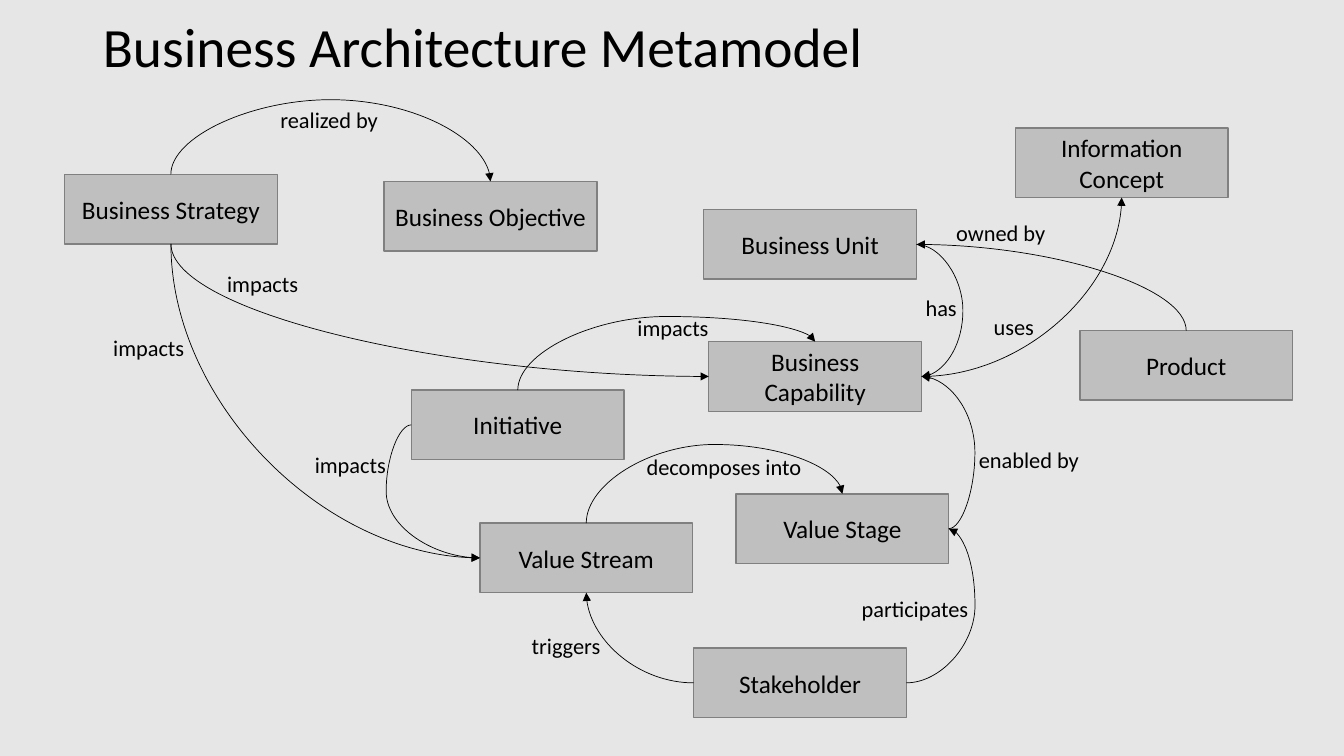
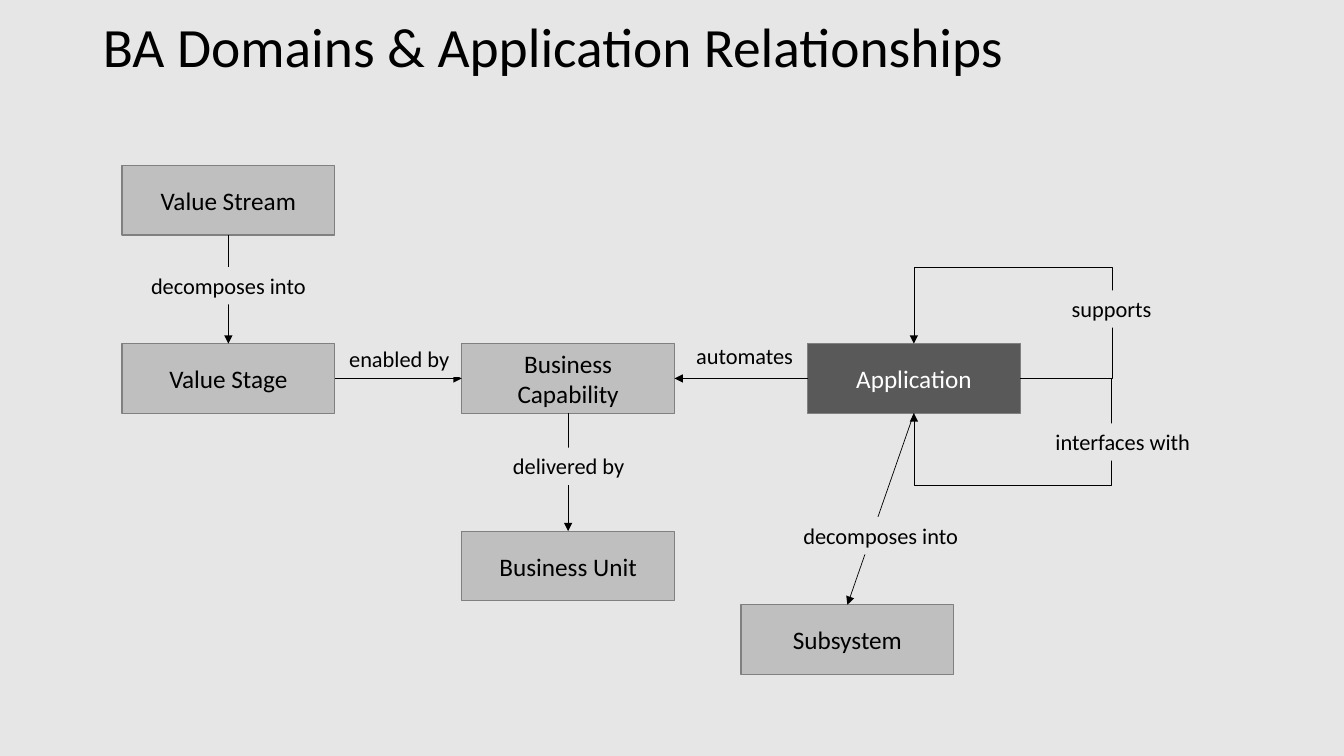
from lxml.etree import SubElement
from pptx import Presentation
from pptx.dml.color import RGBColor
from pptx.enum.shapes import MSO_CONNECTOR, MSO_SHAPE
from pptx.enum.text import MSO_ANCHOR, MSO_AUTO_SIZE, PP_ALIGN
from pptx.oxml.ns import qn
from pptx.util import Pt

PX = 9144
COLORS = {"page": "E7E6E6", "box": "BFBFBF", "dark": "595959",
          "edge": "808080", "ink": "000000", "light": "FFFFFF"}
TOP, LEFT, BOTTOM, RIGHT = range(4)
CURVE, ELBOW, STRAIGHT = MSO_CONNECTOR.CURVE, MSO_CONNECTOR.ELBOW, MSO_CONNECTOR.STRAIGHT
BOX_SIZE = (211, 69)
LABEL_HEIGHT = 37


def color(name):
    return RGBColor.from_string(COLORS[name])


def assign(target, values):
    for name, value in values.items():
        setattr(target, name, value)


class Diagram:
    font = "Calibri"
    title_frame = {"left": 92 * PX, "top": 20 * PX, "width": 1040 * PX, "height": 58 * PX}
    title_text = {"vertical_anchor": MSO_ANCHOR.MIDDLE, "auto_size": MSO_AUTO_SIZE.NONE,
                  "word_wrap": True}
    box_text = {"vertical_anchor": MSO_ANCHOR.MIDDLE, "word_wrap": True}
    label_text = {"vertical_anchor": MSO_ANCHOR.TOP, "word_wrap": True,
                  "auto_size": MSO_AUTO_SIZE.SHAPE_TO_FIT_TEXT,
                  "margin_left": 0, "margin_right": 0}

    def __init__(self):
        self.deck = Presentation()
        assign(self.deck, {"slide_width": 1333 * PX, "slide_height": 750 * PX})
        fill = self.deck.slide_master.background.fill
        fill.solid()
        fill.fore_color.rgb = color("page")

    def set_text(self, shape, text, size, frame, paragraph, ink="ink"):
        assign(shape.text_frame, frame)
        para = shape.text_frame.paragraphs[0]
        assign(para, paragraph)
        span = para.add_run()
        span.text = text
        assign(span.font, {"name": self.font, "size": Pt(size)})
        span.font.color.rgb = color(ink)

    def start_page(self, title):
        self.page = self.deck.slides.add_slide(self.deck.slide_layouts[5])
        shape = self.page.shapes.title
        assign(shape, self.title_frame)
        self.set_text(shape, title, 39.6, self.title_text,
                      {"alignment": PP_ALIGN.LEFT, "line_spacing": 0.9})

    def box(self, text, left, top, fill="box", ink="ink"):
        shape = self.page.shapes.add_shape(
            MSO_SHAPE.RECTANGLE, *(value * PX for value in (left, top, *BOX_SIZE)))
        shape.shadow.inherit = False
        shape.fill.solid()
        shape.fill.fore_color.rgb = color(fill)
        shape.line.color.rgb = color("edge")
        shape.line.width = Pt(1)
        self.set_text(shape, text, 18, self.box_text, {"alignment": PP_ALIGN.CENTER}, ink)
        return shape

    def label(self, text, left, top, width=157):
        shape = self.page.shapes.add_textbox(
            left * PX, top * PX, width * PX, LABEL_HEIGHT * PX)
        self.set_text(shape, text, 16, self.label_text, {"alignment": PP_ALIGN.CENTER})
        return shape

    def masking_label(self, text, left, top, width):
        shape = self.label(text, left, top, width)
        shape.fill.solid()
        shape.fill.fore_color.rgb = color("page")

    def link(self, start, start_side, end, end_side, kind=STRAIGHT, bends=()):
        connector = self.page.shapes.add_connector(kind, 0, 0, 0, 0)
        connector.begin_connect(start, start_side)
        connector.end_connect(end, end_side)
        connector.line.color.rgb = color("ink")
        connector.line.width = Pt(0.5)
        properties = connector._element.spPr
        SubElement(properties.find(qn("a:ln")), qn("a:tailEnd"), type="triangle")
        SubElement(properties, qn("a:effectLst"))
        if kind != STRAIGHT:
            self.route(connector, start_side in (TOP, BOTTOM), bends)

    def route(self, connector, upright, bends):
        x, y = connector.begin_x, connector.begin_y
        dx, dy = connector.end_x - x, connector.end_y - y
        axes = [(x, dx), (y, dy)]
        width, height = abs(dx), abs(dy)
        flips = {"flipH": dx < 0, "flipV": dy < 0}
        turn = 0
        if upright:
            axes.reverse()
            width, height = height, width
            turn = 270 if dy > 0 else 90
            flips = {"flipH": True, "flipV": (dx > 0) == (dy < 0)}
        assign(connector, {"left": int(x + dx / 2 - width / 2),
                           "top": int(y + dy / 2 - height / 2),
                           "width": width, "height": height})
        properties = connector._element.spPr
        frame = properties.find(qn("a:xfrm"))
        frame.set("rot", str(turn * 60000))
        for name, flipped in flips.items():
            frame.set(name, str(int(flipped)))
        geometry = properties.find(qn("a:prstGeom"))
        geometry.set("prst", geometry.get("prst").replace("3", str(len(bends) + 2)))
        guides = geometry.find(qn("a:avLst"))
        for number, (bend, (origin, span)) in enumerate(zip(bends, axes), 1):
            ratio = round((bend * PX - origin) / span * 100000)
            SubElement(guides, qn("a:gd"), name=f"adj{number}", fmla=f"val {ratio}")


def draw_metamodel(diagram):
    diagram.start_page("Business Architecture Metamodel")
    strategy = diagram.box("Business Strategy", 64, 173)
    objective = diagram.box("Business Objective", 381, 180)
    initiative = diagram.box("Initiative", 408, 387)
    product = diagram.box("Product", 1071, 328)
    capability = diagram.box("Business Capability", 703, 339)
    unit = diagram.box("Business Unit", 698, 208)
    stream = diagram.box("Value Stream", 476, 519)
    concept = diagram.box("Information Concept", 1007, 127)
    stakeholder = diagram.box("Stakeholder", 688, 643)
    stage = diagram.box("Value Stage", 730, 490)

    for start, start_side, end, end_side, *bends in (
        (strategy, TOP, objective, TOP, 99),
        (initiative, TOP, capability, TOP, 314),
        (initiative, LEFT, stream, LEFT, 383),
        (unit, RIGHT, capability, RIGHT, 955),
        (capability, RIGHT, concept, BOTTOM),
        (stream, TOP, stage, TOP, 441),
        (stage, RIGHT, capability, RIGHT, 967),
        (stakeholder, RIGHT, stage, RIGHT, 967),
        (stakeholder, LEFT, stream, BOTTOM),
        (strategy, BOTTOM, capability, LEFT),
        (strategy, BOTTOM, stream, LEFT),
        (product, TOP, unit, RIGHT),
    ):
        diagram.link(start, start_side, end, end_side, CURVE, bends)

    for label in (
        ("realized by", 248, 100), ("impacts", 182, 263), ("impacts", 69, 327),
        ("has", 855, 287), ("uses", 927, 306), ("triggers", 483, 622),
        ("participates", 829, 586), ("decomposes into", 624, 445, 188),
        ("enabled by", 942, 438), ("impacts", 269, 443), ("impacts", 589, 307),
        ("owned by", 914, 213),
    ):
        diagram.label(*label)


def draw_application_relationships(diagram):
    diagram.start_page("BA Domains & Application Relationships")
    application = diagram.box("Application", 801, 341, "dark", "light")
    capability = diagram.box("Business Capability", 458, 341)
    unit = diagram.box("Business Unit", 458, 527)
    subsystem = diagram.box("Subsystem", 735, 600)
    stage = diagram.box("Value Stage", 121, 341)
    stream = diagram.box("Value Stream", 121, 164)

    for link in (
        (application, LEFT, capability, RIGHT),
        (application, RIGHT, application, BOTTOM, ELBOW, (1102, 482)),
        (application, RIGHT, application, TOP, ELBOW, (1103, 265)),
        (capability, BOTTOM, unit, TOP),
        (application, BOTTOM, subsystem, TOP),
        (stage, RIGHT, capability, LEFT),
        (stream, BOTTOM, stage, TOP),
    ):
        diagram.link(*link)

    for label in (
        ("enabled by", 336, 337, 120), ("automates", 680, 335, 117),
        ("interfaces with", 1023, 420, 181), ("supports", 1012, 288, 181),
        ("delivered by", 496, 444, 136), ("decomposes into", 777, 513, 193),
        ("decomposes into", 130, 265, 193),
    ):
        diagram.masking_label(*label)


def main():
    diagram = Diagram()
    draw_metamodel(diagram)
    draw_application_relationships(diagram)
    diagram.deck.save("out.pptx")


if __name__ == "__main__":
    main()
